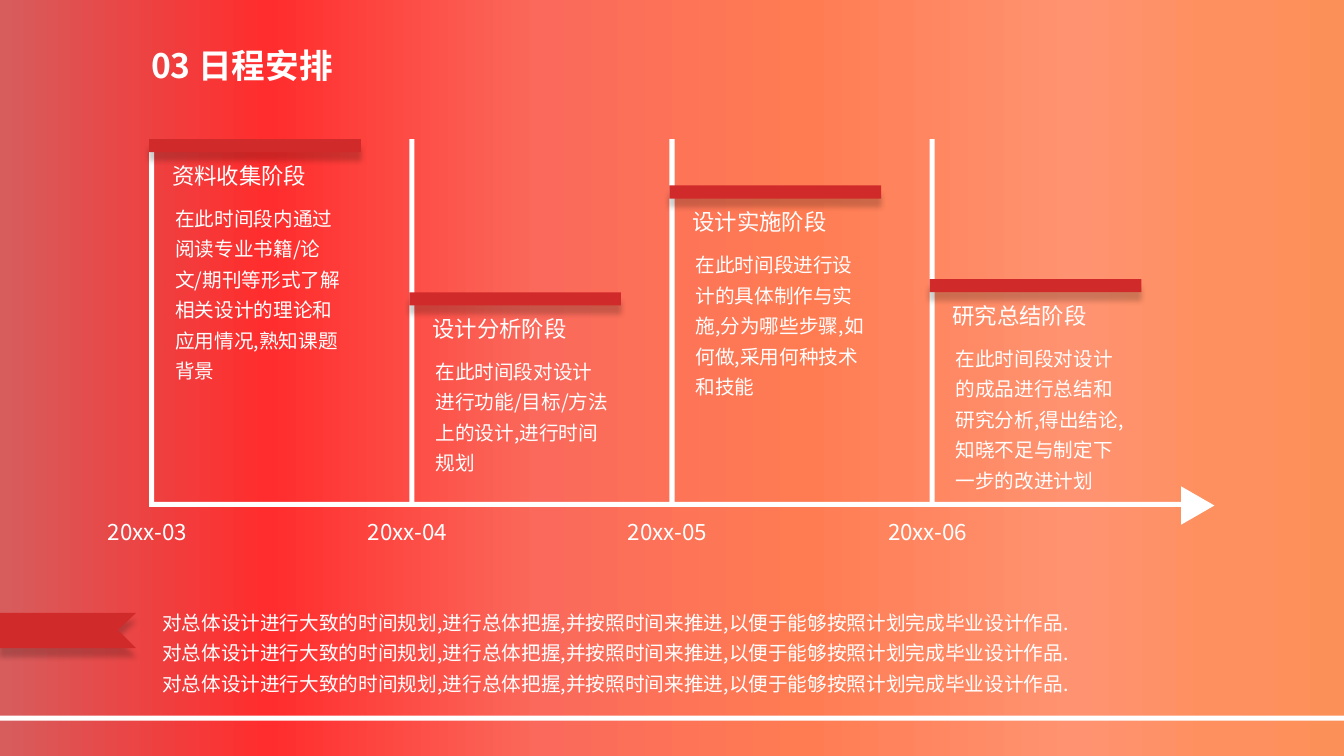
from lxml import etree
from pptx import Presentation
from pptx.dml.color import RGBColor
from pptx.enum.shapes import MSO_SHAPE
from pptx.enum.text import MSO_ANCHOR, MSO_AUTO_SIZE
from pptx.oxml.ns import qn
from pptx.util import Inches, Pt

RECT = MSO_SHAPE.RECTANGLE
TRIANGLE = MSO_SHAPE.ISOSCELES_TRIANGLE
MIDDLE = MSO_ANCHOR.MIDDLE
GROW = MSO_AUTO_SIZE.SHAPE_TO_FIT_TEXT
WHITE = RGBColor(0xFF, 0xFF, 0xFF)
RED = RGBColor(0xD0, 0x2A, 0x2A)
FONT = "Noto Sans CJK SC"

W, H = 13.33, 7.5
LEFT, PITCH = 1.48, 2.58
TOP, AXIS = 1.38, 4.98
LINE = 0.05
BAR_W, BAR_H = 2.1, 0.13

STOPS = [(0, "FC9059"), (10, "FE9060"), (20, "FF9371"), (40, "FF7C53"),
         (60, "FA695B"), (80, "FF2D2D"), (100, "D75C5C")]
PHASES = [
    ("20xx-03", TOP, 1.94, "资料收集阶段",
     "在此时间段内通过阅读专业书籍/论文/期刊等形式了解相关设计的理论和应用情况,熟知课题背景"),
    ("20xx-04", 2.9, 1.33, "设计分析阶段",
     "在此时间段对设计进行功能/目标/方法上的设计,进行时间规划"),
    ("20xx-05", 1.84, 1.63, "设计实施阶段",
     "在此时间段进行设计的具体制作与实施,分为哪些步骤,如何做,采用何种技术和技能"),
    ("20xx-06", 2.77, 1.63, "研究总结阶段",
     "在此时间段对设计的成品进行总结和研究分析,得出结论,知晓不足与制定下一步的改进计划"),
]
SUMMARY = "对总体设计进行大致的时间规划,进行总体把握,并按照时间来推进,以便于能够按照计划完成毕业设计作品."

prs = Presentation()
prs.slide_width, prs.slide_height = Inches(W), Inches(H)
s = prs.slides.add_slide(prs.slide_layouts[6])

bg = s.background.fill
bg.gradient()
bg.gradient_angle = 180
gs_list = s._element.find(".//" + qn("a:gsLst"))
for gs in list(gs_list):
    gs_list.remove(gs)
for share, color in STOPS:
    gs = etree.SubElement(gs_list, qn("a:gs"), pos=str(share * 1000))
    etree.SubElement(gs, qn("a:srgbClr"), val=color)


def paint(sp, color, shadow=False):
    sp.fill.solid()
    sp.fill.fore_color.rgb = color
    sp.line.fill.background()
    sp.shadow.inherit = False
    if shadow:
        effects = sp._element.spPr.find(qn("a:effectLst"))
        outer = etree.SubElement(effects, qn("a:outerShdw"), blurRad=str(Pt(4)),
                                 dist=str(Pt(6)), dir="5400000", algn="t", rotWithShape="0")
        clr = etree.SubElement(outer, qn("a:srgbClr"), val="000000")
        etree.SubElement(clr, qn("a:alpha"), val="20000")


def add_text(x, y, w, h, text, size, spacing=None, wrap=True, bold=False):
    tf = s.shapes.add_textbox(Inches(x), Inches(y), Inches(w), Inches(h)).text_frame
    tf.word_wrap = wrap
    tf.auto_size = GROW
    tf.text = text
    for p in tf.paragraphs:
        p.line_spacing = spacing
        for r in p.runs:
            r.font.size, r.font.bold = Pt(size), bold
            r.font.name = FONT
            r.font.color.rgb = WHITE
            etree.SubElement(r._r.get_or_add_rPr(), qn("a:ea"), typeface=FONT)
    return tf


lines = [(0, 7.1, W, LINE), (LEFT, AXIS, 10.38, LINE)]
lines += [(LEFT + i * PITCH, TOP, LINE, AXIS + LINE - TOP) for i in range(len(PHASES))]
for box in lines:
    paint(s.shapes.add_shape(RECT, *map(Inches, box)), WHITE)

arrow = s.shapes.add_shape(TRIANGLE, Inches(11.69), Inches(4.85), Inches(0.38), Inches(0.33))
arrow.rotation = 90
paint(arrow, WHITE)

title = add_text(1.4, 0.28, 5.8, 0.79, "03 日程安排", 24, spacing=0.9, bold=True)
title.auto_size = MSO_AUTO_SIZE.NONE
title.vertical_anchor = MIDDLE

for i, (date, y, body_h, name, body) in enumerate(PHASES):
    x = LEFT + i * PITCH
    bar = s.shapes.add_shape(RECT, Inches(x), Inches(y), Inches(BAR_W), Inches(BAR_H))
    paint(bar, RED, shadow=True)
    add_text(x + 0.16, y + 0.55, 1.93, body_h, body, 14, spacing=1.3)
    add_text(x + 0.13, y + 0.18, 1.55, 0.37, name, 16, wrap=False)
    add_text(x - 0.51, AXIS + 0.11, 1.07, 0.37, date, 16, wrap=False)

add_text(1.51, 5.94, 10.64, 1.02, "\n".join([SUMMARY] * 3), 14, spacing=1.3)

fb = s.shapes.build_freeform(Inches(0), Inches(6.08))
corners = [(1.35, 6.08), (1.17, 6.25), (1.35, 6.43), (0, 6.43)]
fb.add_line_segments([(Inches(x), Inches(y)) for x, y in corners])
paint(fb.convert_to_shape(), RED, shadow=True)

prs.save("out.pptx")
